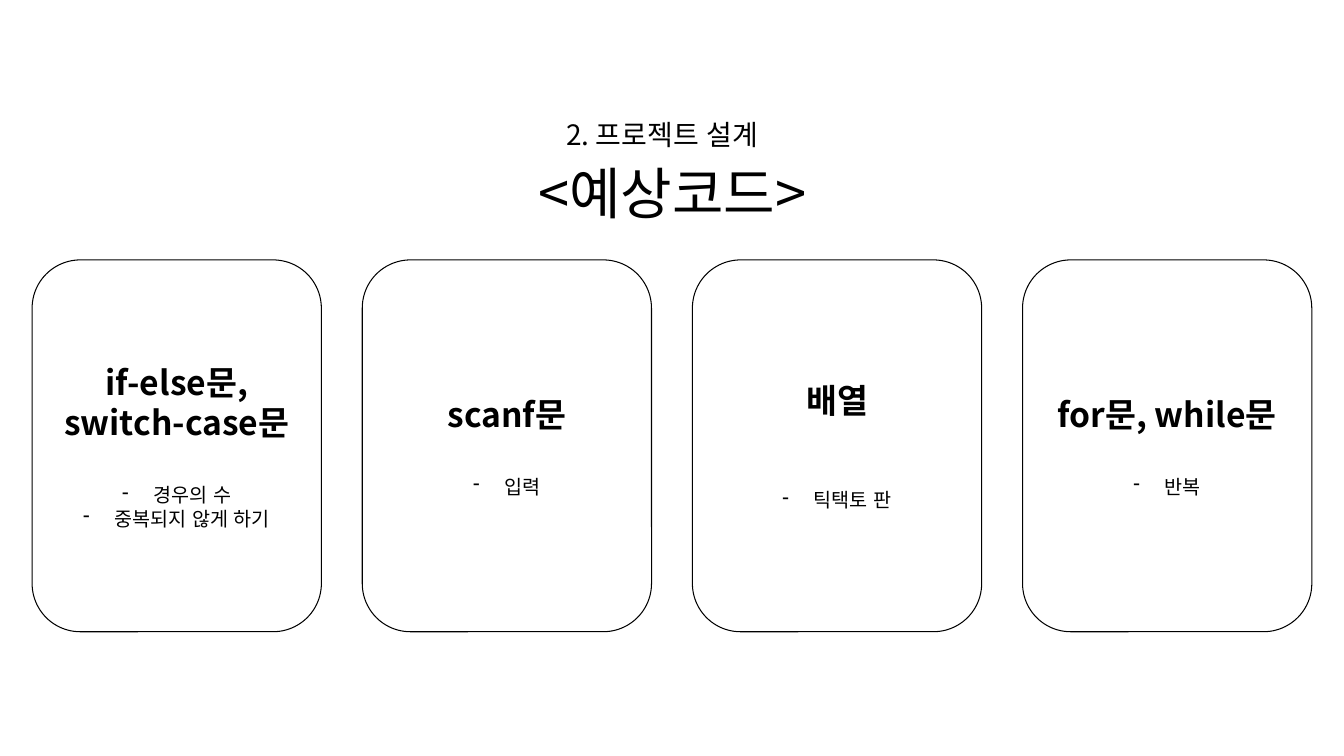
import pptx
import pptx.dml.color
import pptx.enum.lang
import pptx.enum.shapes
import pptx.enum.text
import pptx.oxml
import pptx.oxml.ns
import pptx.util

Cm = pptx.util.Cm
Pt = pptx.util.Pt
ALIGN = pptx.enum.text.PP_ALIGN
ANCHOR = pptx.enum.text.MSO_ANCHOR

FONT = "Noto Sans CJK KR"
BLACK = "000000"
TITLE = "<예상코드>"
SECTION = "2. 프로젝트 설계"
CARDS = [
    ("if-else문, switch-case문", ["경우의 수", "중복되지 않게 하기"], 29),
    ("scanf문", ["입력"], 29),
    ("배열", ["틱택토 판"], 48),
    ("for문, while문", ["반복"], 29),
]

CARD_LEFT, CARD_TOP = 0.81, 6.55
CARD_WIDTH, CARD_HEIGHT = 7.29, 9.37
CARD_PITCH = 8.32
BULLET_INDENT = 0.79


def color(value):
    return pptx.dml.color.RGBColor.from_string(value)


def write(paragraph, text, size, bold=False, align=ALIGN.CENTER, bullet=None, before=0, spacing=None):
    paragraph.alignment = align
    if before:
        paragraph.space_before = Pt(before)
    if spacing:
        paragraph.line_spacing = spacing
    if bullet:
        properties = paragraph._p.get_or_add_pPr()
        properties.set("marL", str(Cm(BULLET_INDENT)))
        properties.set("indent", str(-Cm(BULLET_INDENT)))
        mark = pptx.oxml.parse_xml(f'<a:buChar {pptx.oxml.ns.nsdecls("a")} char="{bullet}"/>')
        properties.append(mark)
    run = paragraph.add_run()
    run.text = text
    font = run.font
    font.size = Pt(size)
    font.bold = bold
    font.name = FONT
    font.color.rgb = color(BLACK)
    font.language_id = pptx.enum.lang.MSO_LANGUAGE_ID.KOREAN
    east_asian = pptx.oxml.parse_xml(f'<a:ea {pptx.oxml.ns.nsdecls("a")} typeface="{FONT}"/>')
    run._r.get_or_add_rPr().append(east_asian)


def add_heading(slide, text, box, wrap=True, anchor=ANCHOR.TOP, **text_format):
    frame = slide.shapes.add_textbox(*map(Cm, box)).text_frame
    frame.word_wrap = wrap
    frame.vertical_anchor = anchor
    write(frame.paragraphs[0], text, **text_format)


def add_card(slide, index, heading, notes, gap):
    left = CARD_LEFT + index * CARD_PITCH
    card = slide.shapes.add_shape(
        pptx.enum.shapes.MSO_SHAPE.ROUNDED_RECTANGLE,
        Cm(left), Cm(CARD_TOP), Cm(CARD_WIDTH), Cm(CARD_HEIGHT),
    )
    card.shadow.inherit = False
    card.fill.background()
    card.line.color.rgb = color(BLACK)
    card.line.width = Pt(0.75)
    frame = card.text_frame
    frame.word_wrap = True
    frame.vertical_anchor = ANCHOR.MIDDLE
    write(frame.paragraphs[0], heading, size=24, bold=True)
    for position, note in enumerate(notes):
        before = gap if position == 0 else 0
        write(frame.add_paragraph(), note, size=14, bullet="-", before=before)


def main():
    presentation = pptx.Presentation()
    presentation.slide_width = Cm(33.87)
    presentation.slide_height = Cm(19.05)
    slide = presentation.slides.add_slide(presentation.slide_layouts[6])
    add_heading(slide, TITLE, (7.19, 3.12, 19.51, 3.68), anchor=ANCHOR.MIDDLE, size=40, spacing=0.9)
    add_heading(slide, SECTION, (14.02, 2.84, 5.84, 1.12), wrap=False, size=20, align=ALIGN.LEFT)
    for index, (heading, notes, gap) in enumerate(CARDS):
        add_card(slide, index, heading, notes, gap)
    presentation.save("out.pptx")


if __name__ == "__main__":
    main()
